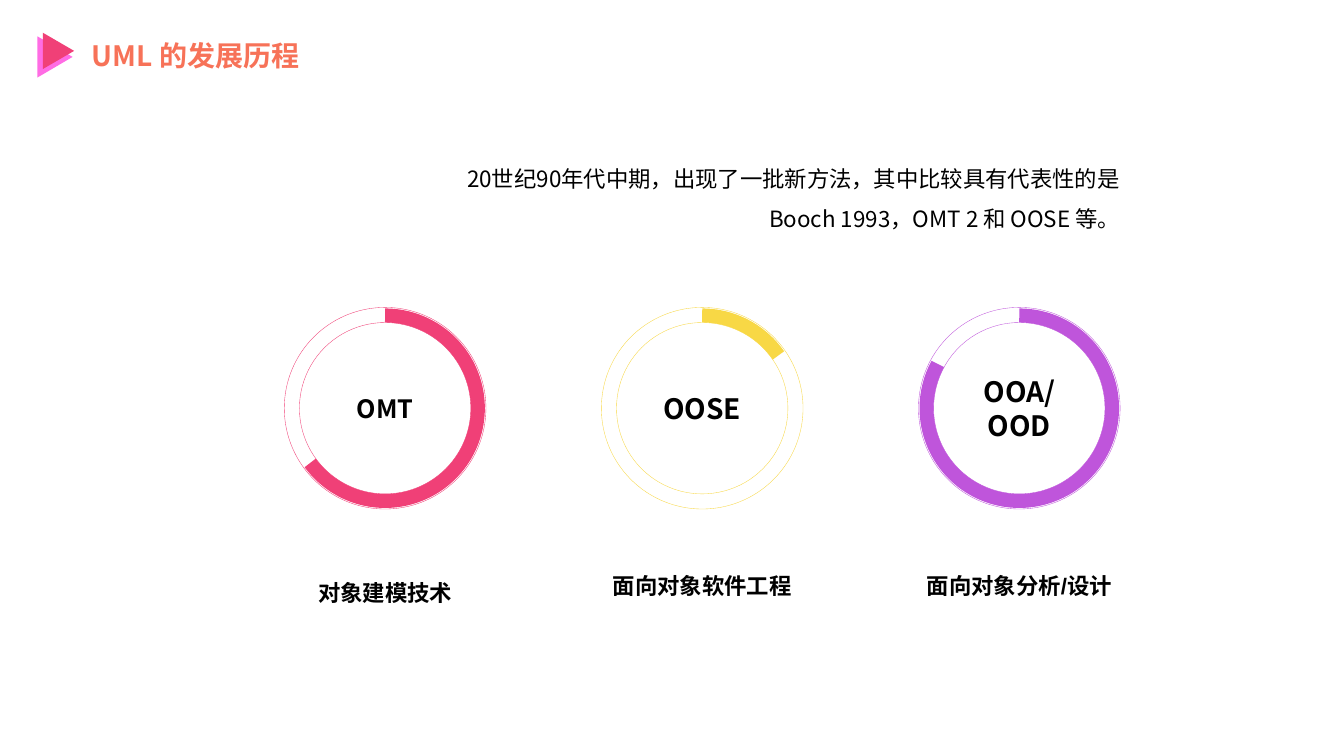
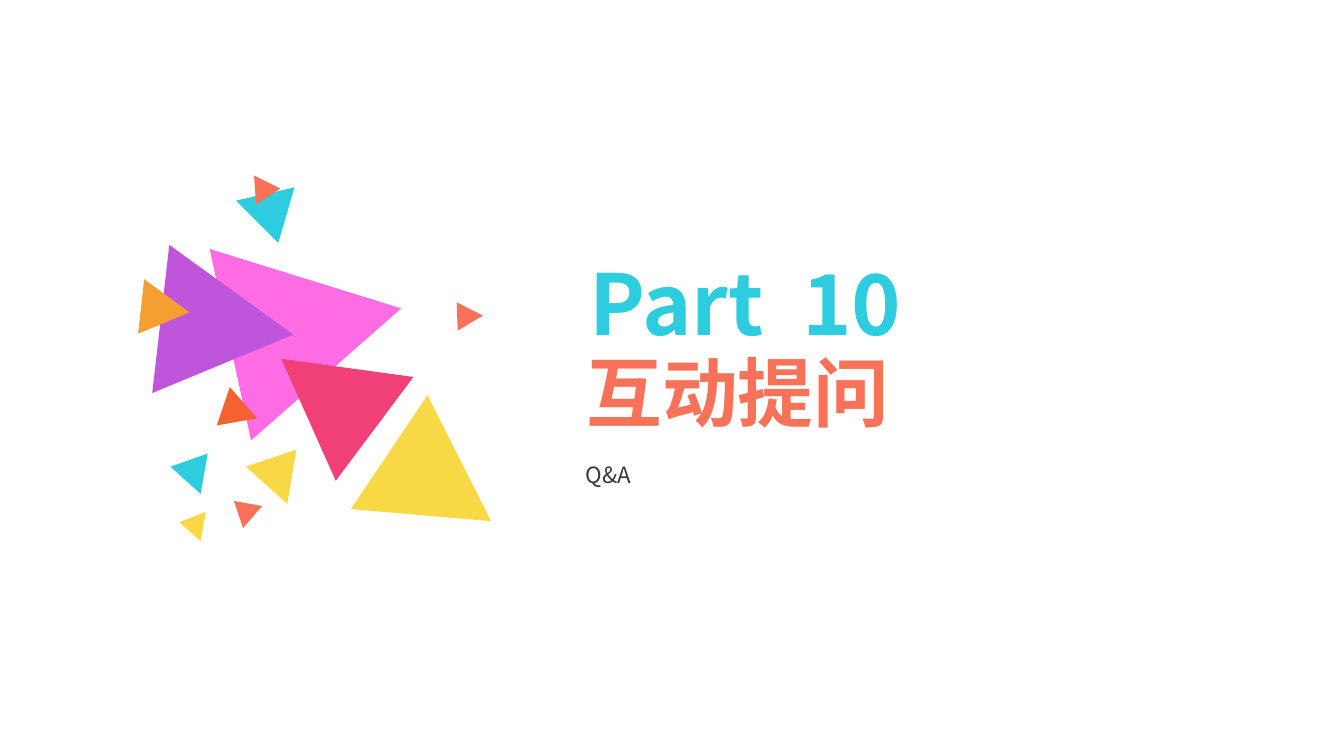
from lxml import etree
from pptx import Presentation
from pptx.dml.color import RGBColor
from pptx.enum.shapes import MSO_SHAPE
from pptx.enum.text import MSO_ANCHOR, PP_ALIGN
from pptx.oxml.ns import qn
from pptx.util import Pt

PX = 9144  # EMU per px, 100 px to the inch
SLIDE_W, SLIDE_H = 1333, 750

OVAL, ARC = MSO_SHAPE.OVAL, MSO_SHAPE.ARC
TRIANGLE = MSO_SHAPE.ISOSCELES_TRIANGLE
LEFT, CENTER, RIGHT = PP_ALIGN.LEFT, PP_ALIGN.CENTER, PP_ALIGN.RIGHT
TOP, MIDDLE = MSO_ANCHOR.TOP, MSO_ANCHOR.MIDDLE

CJK, LATIN = "Noto Sans CJK SC", "Arial"
BLACK, GREY = "000000", "353A3E"
CORAL, CYAN, YELLOW = "F77258", "2DCCDF", "F8D845"
PINK, MAGENTA, PURPLE = "F04077", "FF6CE4", "BF55DB"
AMBER, ORANGE = "F59E32", "F56130"

RING_STEP = 314.5
# name, text size, colour, arc end in degrees, label, label top, label spacing
RINGS = [
    ("OMT", 18, PINK, 143.85, "对象建模技术", 256, 1.5),
    ("OOSE", 20, YELLOW, 325.3, "面向对象软件工程", 263, 1),
    ("OOA/OOD", 20, PURPLE, 208.5, "面向对象分析/设计", 263, 1),
]

# colour and corners, relative to the cluster's top left
CONFETTI = [
    (CYAN, [(155, 13), (139, 68), (97, 26)]),
    (MAGENTA, [(112, 264), (71, 74), (261, 133)]),
    (PURPLE, [(14, 217), (31, 70), (154, 159)]),
    (AMBER, [(0, 158), (6, 104), (51, 137)]),
    (ORANGE, [(78, 249), (91, 211), (118, 242)]),
    (CYAN, [(32, 290), (69, 277), (62, 317)]),
    (YELLOW, [(41, 345), (67, 335), (62, 364)]),
    (CORAL, [(104, 351), (95, 324), (123, 329)]),
    (YELLOW, [(107, 290), (157, 273), (148, 327)]),
    (YELLOW, [(211, 332), (287, 219), (350, 344)]),
    (PINK, [(273, 201), (196, 304), (142, 183)]),
    (CORAL, [(317, 155), (316, 127), (342, 140)]),
    (CORAL, [(117, 30), (115, 1), (141, 14)]),
]


def px(n):
    return round(n * PX)


def rgb(color):
    return RGBColor.from_string(color)


def paint(sp, fill=None, line=None, weight=0.25):
    sp.shadow.inherit = False
    if fill:
        sp.fill.solid()
        sp.fill.fore_color.rgb = rgb(fill)
    else:
        sp.fill.background()
    if line:
        sp.line.color.rgb = rgb(line)
        sp.line.width = Pt(weight)
    else:
        sp.line.fill.background()


def add_shape(slide, kind, x, y, w, h, **style):
    sp = slide.shapes.add_shape(kind, px(x), px(y), px(w), px(h))
    paint(sp, **style)
    return sp


def write(sp, text, size=16, color=BLACK, font=CJK, bold=False,
          align=LEFT, anchor=TOP, spacing=1):
    """Put one formatted paragraph in a shape; spacing is in lines of 1.2 em."""
    tf = sp.text_frame
    tf.word_wrap = True
    tf.vertical_anchor = anchor
    p = tf.paragraphs[0]
    p.alignment = align
    p.line_spacing = Pt(round(size * 1.2 * spacing, 1))
    r = p.add_run()
    r.text = text
    r.font.size = Pt(size)
    r.font.bold = bold
    r.font.color.rgb = rgb(color)
    r.font.name = font
    etree.SubElement(r.font._element, qn("a:ea"), typeface=font)


def add_text(slide, text, x, y, w, h, inset=True, **style):
    sp = slide.shapes.add_textbox(px(x), px(y), px(w), px(h))
    if not inset:
        tf = sp.text_frame
        tf.margin_left = tf.margin_top = tf.margin_right = tf.margin_bottom = 0
    write(sp, text, **style)


def title_band(slide, text, x, y):
    add_text(slide, text, x + 47, y, 271, 44, size=20, color=CORAL, bold=True)
    for dx, dy, w, h, color in ((0, 6, 41, 35, MAGENTA), (6, 2, 36, 31, PINK)):
        add_shape(slide, TRIANGLE, x + dx, y + dy, w, h, fill=color).rotation = 90


def ring(slide, x, y, name, size, color, end, label, label_top, spacing):
    """Draw a ring 200 px wide with a thick arc from the top, and its label."""
    add_shape(slide, OVAL, x, y, 200, 200, line=color)
    inner = add_shape(slide, OVAL, x + 15, y + 15, 170, 170, line=color)
    write(inner, name, size=size, bold=True, align=CENTER, anchor=MIDDLE)
    arc = add_shape(slide, ARC, x + 8, y + 8, 184, 184, line=color, weight=10)
    for i, degrees in enumerate((270, end)):
        arc.adjustments[i] = degrees * 0.6
    add_text(slide, label, x - 60, y + label_top, 320, 40, inset=False,
             font=LATIN, bold=True, align=CENTER, spacing=spacing)


def confetti(slide, x, y):
    for color, corners in CONFETTI:
        (x0, y0), *rest = [(x + dx, y + dy) for dx, dy in corners]
        outline = slide.shapes.build_freeform(x0, y0, scale=PX)
        outline.add_line_segments(rest, close=True)
        paint(outline.convert_to_shape(), fill=color)


def section_heading(slide, part, title, note, x, y):
    add_text(slide, part, x + 4, y, 450, 111, size=60, color=CYAN, bold=True)
    add_text(slide, title, x + 1, y + 93, 682, 101, size=54, color=CORAL, bold=True)
    add_text(slide, note, x, y + 208, 662, 37, color=GREY)


def history_slide(slide):
    title_band(slide, "UML 的发展历程", 34, 33)
    for i, spec_row in enumerate(RINGS):
        ring(slide, 282 + i * RING_STEP, 305, *spec_row)
    add_text(slide, "20世纪90年代中期，出现了一批新方法，其中比较具有代表性的是 "
             "Booch 1993，OMT 2 和 OOSE 等。",
             424, 150, 687, 81, inset=False, align=RIGHT, spacing=1.5)


def section_slide(slide):
    confetti(slide, 137, 173)
    section_heading(slide, "Part  10", "互动提问", "Q&A", 571, 245)


def main():
    prs = Presentation()
    prs.slide_width, prs.slide_height = px(SLIDE_W), px(SLIDE_H)
    for build in (history_slide, section_slide):
        build(prs.slides.add_slide(prs.slide_layouts[6]))
    prs.save("out.pptx")


if __name__ == "__main__":
    main()
